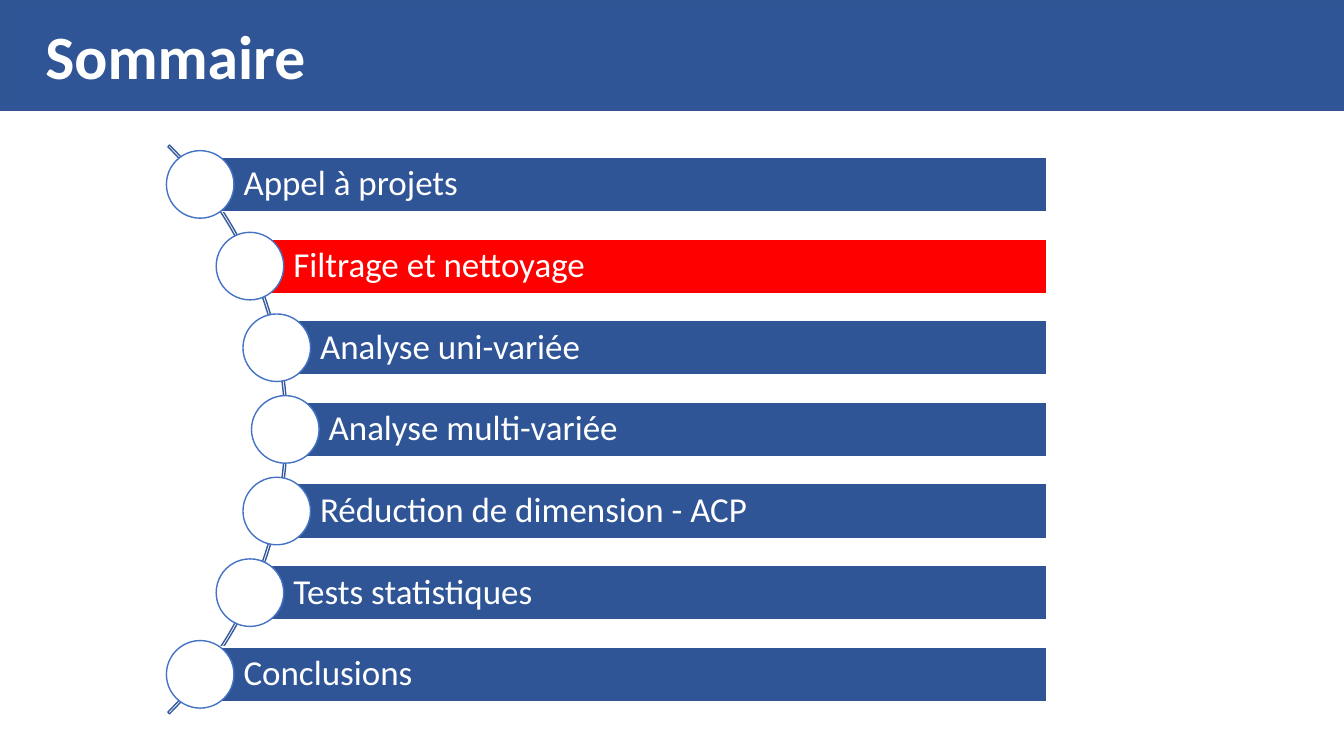
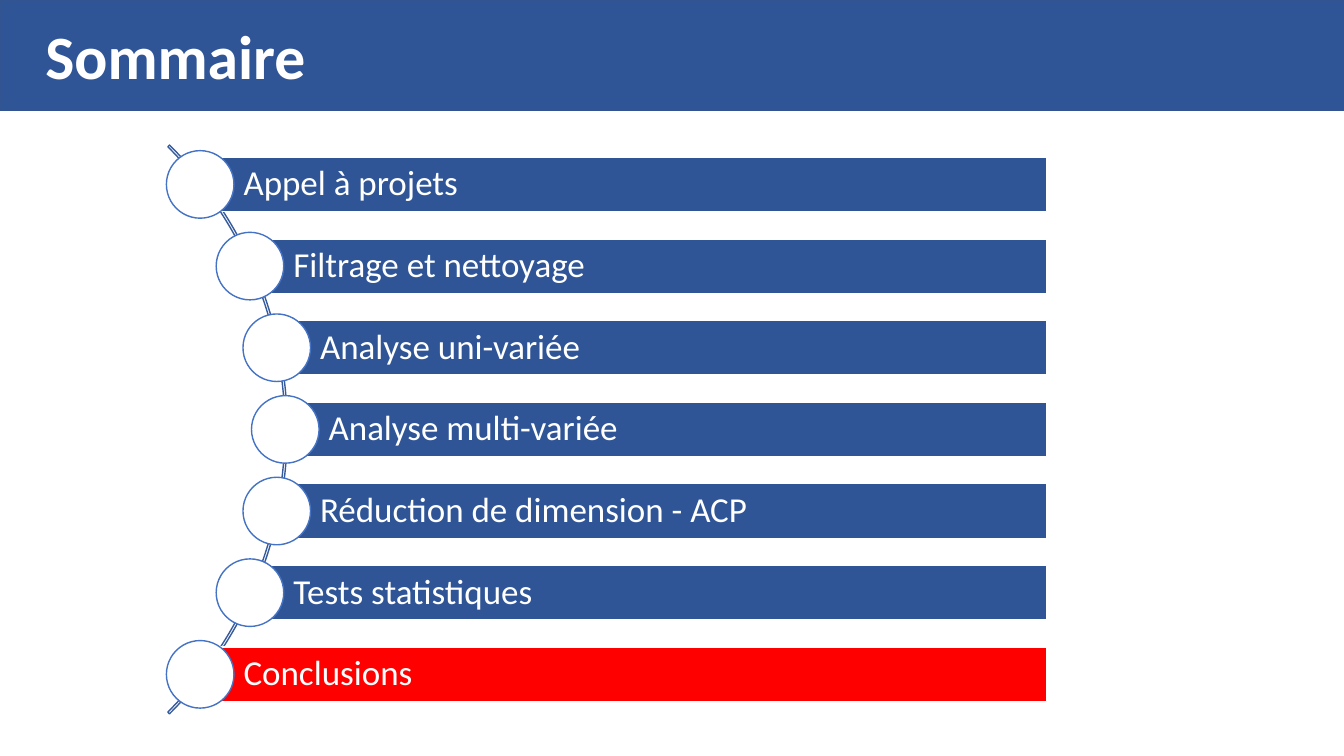
from math import sqrt

from pptx import Presentation
from pptx.dml.color import RGBColor
from pptx.enum.shapes import MSO_SHAPE
from pptx.enum.text import MSO_ANCHOR, MSO_AUTO_SIZE, PP_ALIGN
from pptx.util import Inches, Pt

ARC = MSO_SHAPE.BLOCK_ARC
BAR = MSO_SHAPE.RECTANGLE
CIRCLE = MSO_SHAPE.OVAL
BAND = MSO_SHAPE.FLOWCHART_PROCESS
LEFT = PP_ALIGN.LEFT
MIDDLE = MSO_ANCHOR.MIDDLE
NO_AUTO_SIZE = MSO_AUTO_SIZE.NONE

COLORS = {
    "blue": "2F5597",
    "band_line": "325491",
    "arc_line": "365B9D",
    "circle_line": "4472C4",
    "highlight": "FF0000",
    "white": "FFFFFF",
}
FONT = "Calibri"
TITLE = "Sommaire"
TOPICS = [
    "Appel à projets",
    "Filtrage et nettoyage",
    "Analyse uni-variée",
    "Analyse multi-variée",
    "Réduction de dimension - ACP",
    "Tests statistiques",
    "Conclusions",
]
CURRENT_TOPICS = ["Filtrage et nettoyage", "Conclusions"]

SLIDE_WIDTH, SLIDE_HEIGHT = 13.33, 7.5
BAND_HEIGHT = 1.09
TITLE_BOX = (0.35, 0.12, 5.1, 0.84)
TITLE_ONLY_LAYOUT = 5

MIDDLE_Y = 4.26
ROW_PITCH = 0.81
BAR_HEIGHT = 0.54
BAR_RIGHT = 10.38
CIRCLE_SIZE = 0.67
CURVE_CENTER_X, CURVE_RADIUS = -1.09, 3.92
ARC_LEFT, ARC_SIZE = -5.13, 7.98
ARC_ADJUSTMENTS = (189, 27, 0.003)
TEXT_INDENT, TEXT_MARGIN = 0.43, 0.07


def rgb(name):
    return RGBColor.from_string(COLORS[name])


def add_figure(shapes, kind, box, fill, line):
    shape = shapes.add_shape(kind, *map(Inches, box))
    shape.shadow.inherit = False
    if fill:
        shape.fill.solid()
        shape.fill.fore_color.rgb = rgb(fill)
    else:
        shape.fill.background()
    shape.line.color.rgb = rgb(line)
    shape.line.width = Pt(1)
    return shape


def write_text(frame, text, size, bold=False):
    paragraph = frame.paragraphs[0]
    paragraph.alignment = LEFT
    run = paragraph.add_run()
    run.text = text
    run.font.name = FONT
    run.font.size = Pt(size)
    run.font.bold = bold
    run.font.color.rgb = rgb("white")
    return paragraph


def prepare_layout(layout, slide):
    layout_title = layout.placeholders[0]
    layout_title.left, layout_title.top, layout_title.width, layout_title.height = map(
        Inches, TITLE_BOX
    )
    band_box = (0, 0, SLIDE_WIDTH, BAND_HEIGHT)
    band = add_figure(slide.shapes, BAND, band_box, "blue", "band_line")
    layout.shapes.element.insert(2, band.element) if hasattr(
        layout.shapes, "element"
    ) else layout.element.cSld.spTree.insert(2, band.element)


def add_title(slide):
    frame = slide.shapes.title.text_frame
    frame.auto_size = NO_AUTO_SIZE
    frame.vertical_anchor = MIDDLE
    write_text(frame, TITLE, 44, bold=True)


def add_topic(shapes, row, topic, fill):
    offset = (row - (len(TOPICS) - 1) / 2) * ROW_PITCH
    center_x = CURVE_CENTER_X + sqrt(CURVE_RADIUS**2 - offset**2)
    center_y = MIDDLE_Y + offset

    bar_box = (center_x, center_y - BAR_HEIGHT / 2, BAR_RIGHT - center_x, BAR_HEIGHT)
    bar = add_figure(shapes, BAR, bar_box, fill, "white")
    frame = bar.text_frame
    frame.word_wrap = True
    frame.vertical_anchor = MIDDLE
    frame.margin_left = Inches(TEXT_INDENT)
    frame.margin_top = frame.margin_right = frame.margin_bottom = Inches(TEXT_MARGIN)
    write_text(frame, topic, 25).line_spacing = 0.9

    radius = CIRCLE_SIZE / 2
    circle_box = (center_x - radius, center_y - radius, CIRCLE_SIZE, CIRCLE_SIZE)
    add_figure(shapes, CIRCLE, circle_box, "white", "circle_line")


def add_agenda(slide, current_topic):
    shapes = slide.shapes.add_group_shape().shapes
    arc_box = (ARC_LEFT, MIDDLE_Y - ARC_SIZE / 2, ARC_SIZE, ARC_SIZE)
    arc = add_figure(shapes, ARC, arc_box, None, "arc_line")
    for index, value in enumerate(ARC_ADJUSTMENTS):
        arc.adjustments[index] = value
    for row, topic in enumerate(TOPICS):
        fill = "highlight" if topic == current_topic else "blue"
        add_topic(shapes, row, topic, fill)


def main():
    presentation = Presentation()
    presentation.slide_width = Inches(SLIDE_WIDTH)
    presentation.slide_height = Inches(SLIDE_HEIGHT)
    layout = presentation.slide_layouts[TITLE_ONLY_LAYOUT]
    for index, current_topic in enumerate(CURRENT_TOPICS):
        slide = presentation.slides.add_slide(layout)
        if index == 0:
            prepare_layout(layout, slide)
        add_title(slide)
        add_agenda(slide, current_topic)
    presentation.save("out.pptx")


if __name__ == "__main__":
    main()
